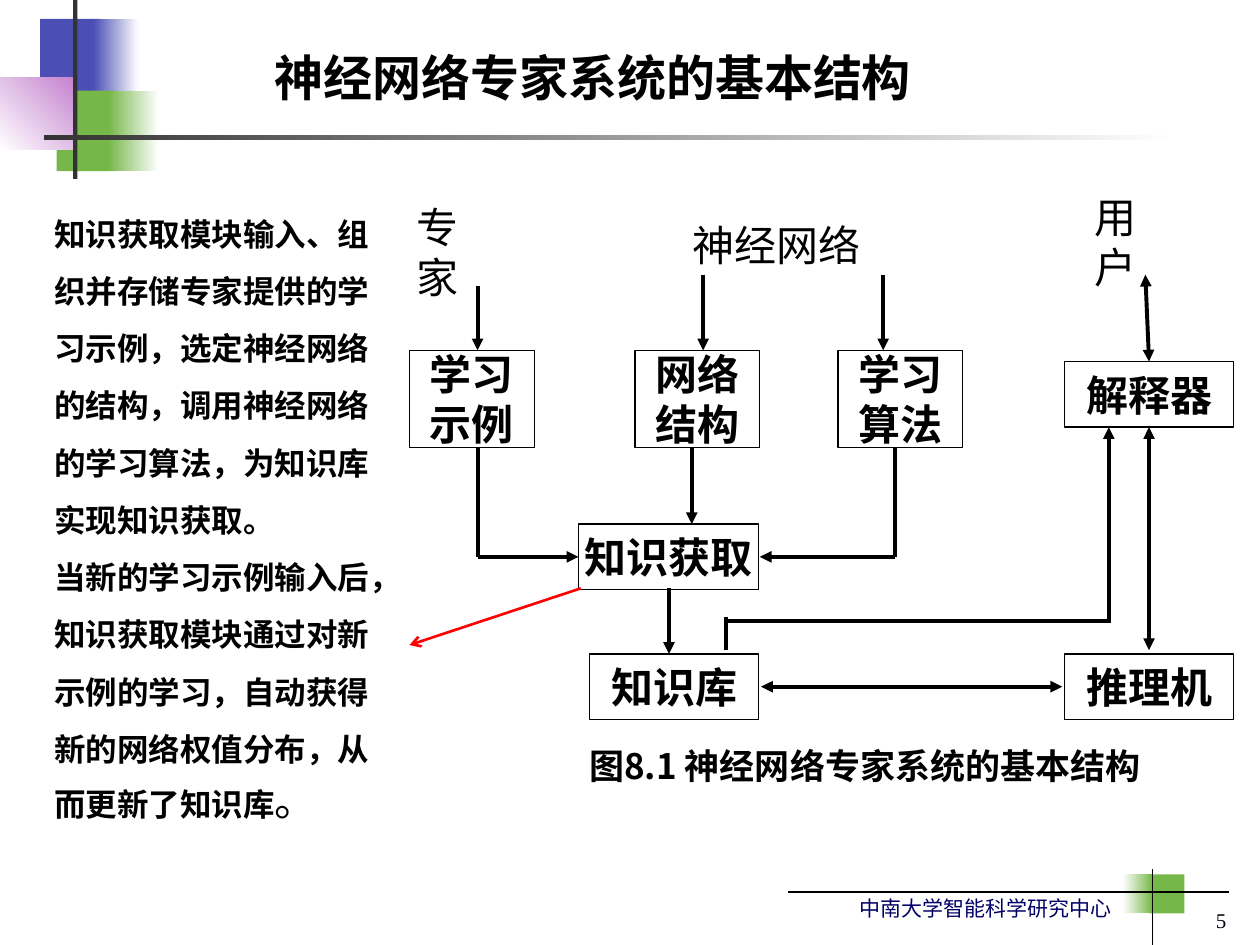
"""Builds a slide on the basic structure of a neural network expert system."""
from lxml.etree import SubElement
from pptx import Presentation
from pptx.dml.color import RGBColor
from pptx.enum.shapes import MSO_CONNECTOR, MSO_SHAPE
from pptx.enum.text import MSO_ANCHOR, MSO_AUTO_SIZE, PP_ALIGN
from pptx.oxml.ns import qn
from pptx.util import Pt

CJK_FONT = "Noto Sans CJK SC"
rgb = RGBColor.from_string


def write_text(paragraph, text, size=24, font="Arial", color="000000", bold=False,
               align=PP_ALIGN.LEFT, line_spacing=None):
    paragraph.alignment = align
    paragraph.space_before = Pt(0)
    if line_spacing:
        paragraph.line_spacing = Pt(line_spacing)
    run = paragraph.add_run()
    run.text = text
    run.font.name = font
    run.font.size = Pt(size)
    run.font.bold = bold
    run.font.color.rgb = rgb(color)
    SubElement(run.font._element, qn("a:ea"), typeface=CJK_FONT)


def add_line(start, end, color="000000", width=2.25, head=None, tail=None):
    connector = slide.shapes.add_connector(
        MSO_CONNECTOR.STRAIGHT, *(Pt(value) for value in start + end))
    connector.line.color.rgb = rgb(color)
    connector.line.width = Pt(width)
    properties = connector._element.spPr
    outline = properties.find(qn("a:ln"))
    for tag, arrow in (("a:headEnd", head), ("a:tailEnd", tail)):
        if arrow:
            SubElement(outline, qn(tag), type=arrow)
    SubElement(properties, qn("a:effectLst"))


presentation = Presentation()
presentation.slide_width = Pt(720)
presentation.slide_height = Pt(540)
slide = presentation.slides.add_slide(presentation.slide_layouts[1])

decorations = [
    (23, 10.8, 34.6, 46.1, ["4B4EB5"], 0),
    (53.3, 10.8, 25.9, 46.1, ["4B4EB5", "FFFFFF"], 0),
    (32.4, 51.8, 33.1, 46.1, ["76B749"], 0),
    (61.9, 51.8, 28.8, 46.1, ["76B749", "FFFFFF"], 0),
    (0, 44.6, 43.9, 41, ["FFFFFF", "C481CF"], 45),
    (41.8, 0, 2.5, 102.2, ["333333"], 0),
    (25.2, 77, 648, 2.9, ["333333", "FFFFFF"], 0),
    (656.6, 499.7, 20.2, 22.3, ["76B749"], 0),
    (641.5, 499.7, 17.3, 22.3, ["FFFFFF", "76B749"], 0),
]
for left, top, width, height, colors, angle in decorations:
    shape = slide.shapes.add_shape(
        MSO_SHAPE.RECTANGLE, Pt(left), Pt(top), Pt(width), Pt(height))
    shape.shadow.inherit = False
    shape.line.fill.background()
    if len(colors) == 1:
        shape.fill.solid()
        shape.fill.fore_color.rgb = rgb(colors[0])
    else:
        shape.fill.gradient()
        shape.fill.gradient_angle = angle
        for stop, color in zip(shape.fill.gradient_stops, colors):
            stop.color.rgb = rgb(color)

add_line((450, 509.8), (702, 509.8), width=0.75)
add_line((658.8, 496.8), (658.8, 540), width=0.75)

title = slide.shapes.title
body = slide.placeholders[1]
for placeholder, bounds in ((title, (149.8, 23.8, 414, 41)),
                            (body, (23.8, 108, 202.3, 367.2))):
    placeholder.left, placeholder.top, placeholder.width, placeholder.height = map(Pt, bounds)
    placeholder.text_frame.word_wrap = True
    placeholder.text_frame.auto_size = MSO_AUTO_SIZE.NONE
    placeholder.text_frame.vertical_anchor = MSO_ANCHOR.TOP

write_text(title.text_frame.paragraphs[0], "神经网络专家系统的基本结构",
           size=28, font=CJK_FONT, bold=True)

body_texts = [
    "知识获取模块输入、组织并存储专家提供的学习示例，选定神经网络的结构，"
    "调用神经网络的学习算法，为知识库实现知识获取。",
    "当新的学习示例输入后，知识获取模块通过对新示例的学习，"
    "自动获得新的网络权值分布，从而更新了知识库",
]
for index, text in enumerate(body_texts):
    paragraph = body.text_frame.add_paragraph() if index else body.text_frame.paragraphs[0]
    properties = paragraph._p.get_or_add_pPr()
    properties.set("marL", "0")
    properties.set("indent", "0")
    SubElement(properties, qn("a:buNone"))
    write_text(paragraph, text, size=18, font="Times New Roman", bold=True, line_spacing=32.7)
write_text(paragraph, "。", font="Times New Roman", line_spacing=32.7)

boxes = [
    (330.5, 299.5, 103, 37.4, ["知识获取"]),
    (234, 200.2, 71.3, 55.4, ["学习", "示例"]),
    (362.9, 200.2, 71.3, 55.4, ["网络", "结构"]),
    (478.8, 200.2, 71.3, 55.4, ["学习", "算法"]),
    (608.4, 206.6, 96.5, 37.4, ["解释器"]),
    (337, 373.7, 96.5, 37.4, ["知识库"]),
    (608.4, 373.7, 96.5, 37.4, ["推理机"]),
]
for left, top, width, height, lines in boxes:
    box = slide.shapes.add_shape(
        MSO_SHAPE.RECTANGLE, Pt(left), Pt(top), Pt(width), Pt(height))
    box.shadow.inherit = False
    box.fill.solid()
    box.fill.fore_color.rgb = rgb("FFFFFF")
    box.line.color.rgb = rgb("000000")
    box.line.width = Pt(0.75)
    frame = box.text_frame
    frame.word_wrap = False
    frame.vertical_anchor = MSO_ANCHOR.MIDDLE
    for index, text in enumerate(lines):
        paragraph = frame.add_paragraph() if index else frame.paragraphs[0]
        write_text(paragraph, text, bold=True, align=PP_ALIGN.CENTER)

plain_lines = [
    ((414.7, 371.5), (414.7, 352.8)),
    ((414.7, 355), (635, 355)),
    ((272.9, 256.3), (272.9, 318.2)),
    ((511.2, 256.3), (511.2, 318.2)),
]
arrows = [
    ((272.9, 318.2), (330.5, 318.2)),
    ((511.2, 318.2), (434.2, 318.2)),
    ((382.3, 336.2), (382.3, 373.7)),
    ((395.3, 256.3), (395.3, 299.5)),
    ((633.6, 355), (633.6, 244.1)),
    ((272.9, 163.4), (272.9, 200.2)),
    ((401.8, 157), (401.8, 200.2)),
    ((504.7, 157), (504.7, 200.2)),
]
double_arrows = [
    ((434.9, 392.4), (607, 392.4)),
    ((656.6, 244.1), (656.6, 371.5)),
    ((656.6, 206.6), (654.5, 157)),
]
for start, end in plain_lines:
    add_line(start, end)
for start, end in arrows:
    add_line(start, end, tail="triangle")
for start, end in double_arrows:
    add_line(start, end, head="triangle", tail="triangle")
add_line((331.9, 336.2), (234, 368.6), color="FF0000", width=1.5, tail="arrow")

labels = [
    (231.1, 126, 61.9, 36, "专家", False, {}),
    (388.8, 121.7, 110.2, 36, "神经网络", False, {}),
    (618.5, 120.2, 61.9, 36, "用户", False, {}),
    (310.3, 421.9, 367.9, 31, "图8.1 神经网络专家系统的基本结构", True,
     {"size": 20, "font": CJK_FONT, "bold": True, "align": PP_ALIGN.CENTER}),
    (326.2, 508.3, 316.1, 21.6, "中南大学智能科学研究中心", True,
     {"size": 12, "font": "Times New Roman", "color": "000066", "align": PP_ALIGN.RIGHT}),
    (540, 511.2, 167.8, 28.8, "5", True,
     {"size": 12, "font": "Times New Roman", "color": "03070F", "align": PP_ALIGN.RIGHT}),
]
for left, top, width, height, text, wrap, text_format in labels:
    label = slide.shapes.add_textbox(Pt(left), Pt(top), Pt(width), Pt(height))
    label.text_frame.word_wrap = wrap
    label.text_frame.vertical_anchor = MSO_ANCHOR.MIDDLE
    write_text(label.text_frame.paragraphs[0], text, **text_format)

presentation.save("out.pptx")
